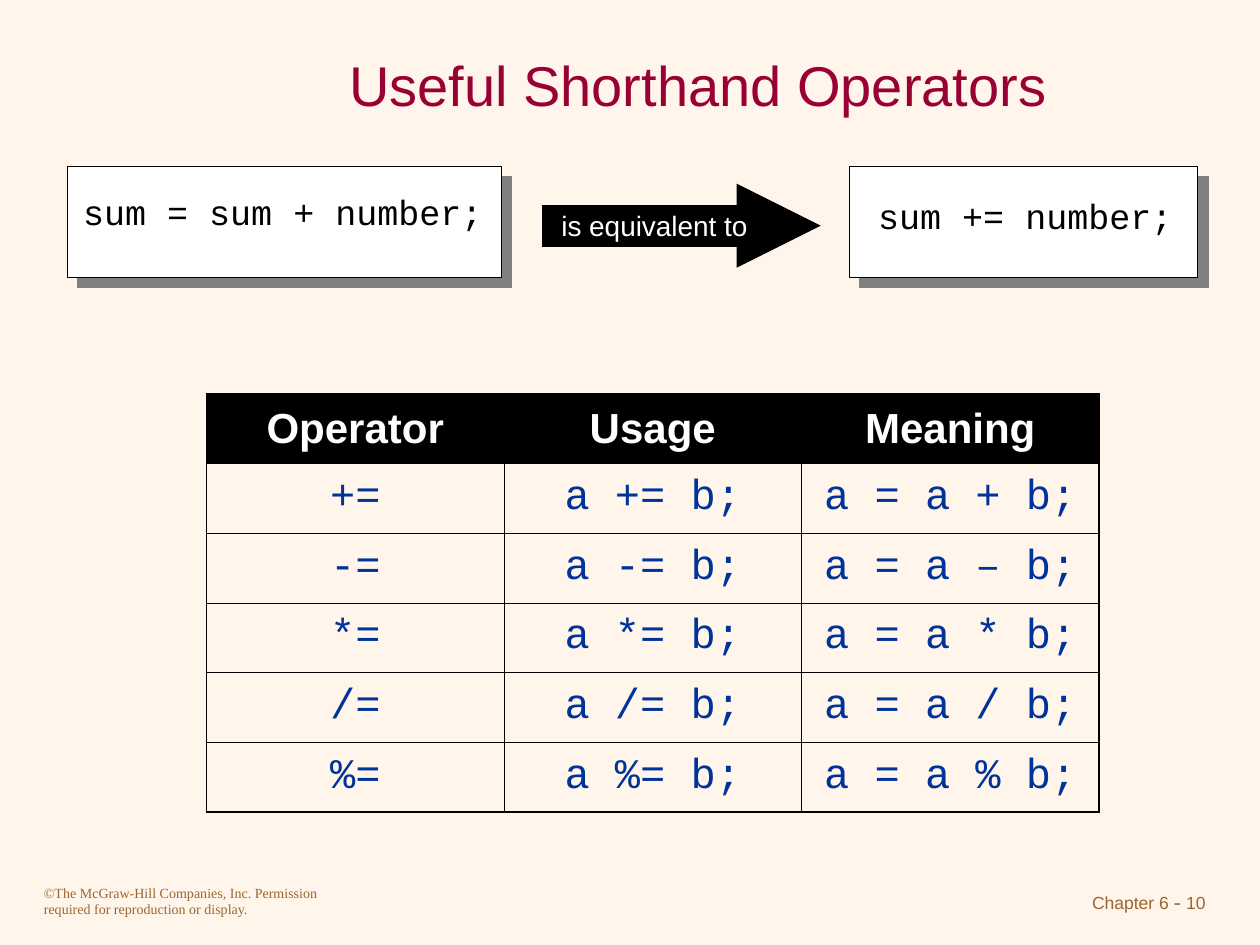
from lxml.etree import SubElement
from pptx import Presentation
from pptx.dml.color import RGBColor
from pptx.enum.shapes import MSO_CONNECTOR as Connector, MSO_SHAPE as Shape
from pptx.enum.text import MSO_ANCHOR as Anchor, PP_ALIGN as Align
from pptx.oxml.ns import qn
from pptx.util import Pt

CREAM = RGBColor(0xFF, 0xF5, 0xEB)
MAROON = RGBColor(0x99, 0x00, 0x33)
BROWN = RGBColor(0x99, 0x66, 0x33)
NAVY = RGBColor(0x00, 0x33, 0x99)
GRAY = RGBColor(0x80, 0x80, 0x80)
BLACK = RGBColor(0x00, 0x00, 0x00)
WHITE = RGBColor(0xFF, 0xFF, 0xFF)

SANS, SERIF, MONO = "Arial", "Times New Roman", "Courier New"
CODE_ADVANCE = 12  # width of one 20 pt monospaced character

OPERATORS = [
    ("Operator", "Usage", "Meaning"),
    ("+=", "a += b;", "a = a + b;"),
    ("-=", "a -= b;", "a = a – b;"),
    ("*=", "a *= b;", "a = a * b;"),
    ("/=", "a /= b;", "a = a / b;"),
    ("%=", "a %= b;", "a = a % b;"),
]


def write(frame, text, font=SANS, size=10, color=BLACK, bold=False,
          align=Align.LEFT, anchor=Anchor.TOP, line_spacing=None):
    """Append a formatted run to the first paragraph of a frame or cell."""
    frame.vertical_anchor = anchor
    text_frame = getattr(frame, "text_frame", frame)
    paragraph = text_frame.paragraphs[0]
    paragraph.alignment = align
    paragraph.line_spacing = line_spacing
    run = paragraph.add_run()
    run.text = text
    run.font.name = font
    run.font.size = Pt(size)
    run.font.bold = bold
    run.font.color.rgb = color


def add_text_frame(slide, left, top, width, height, wrap=False):
    box = slide.shapes.add_textbox(Pt(left), Pt(top), Pt(width), Pt(height))
    box.text_frame.word_wrap = wrap
    return box.text_frame


def add_solid_color(parent, color):
    fill = SubElement(parent, qn("a:solidFill"))
    SubElement(fill, qn("a:srgbClr"), val=str(color))


def add_title(slide, left, top, width, height):
    title = slide.shapes.title
    title.left, title.top = Pt(left), Pt(top)
    title.width, title.height = Pt(width), Pt(height)
    write(title.text_frame, "Useful Shorthand Operators", size=32,
          color=MAROON, align=Align.CENTER, anchor=Anchor.MIDDLE)


def add_code_card(slide, code, left, top, width, height, text_left, text_top):
    """Add a white card with an offset shadow; the code sits relative to it."""
    card = slide.shapes.add_shape(
        Shape.RECTANGLE, Pt(left), Pt(top), Pt(width), Pt(height))
    card.fill.solid()
    card.fill.fore_color.rgb = WHITE
    card.line.color.rgb = BLACK
    card.line.width = Pt(0.75)
    card.shadow.inherit = False
    effects = card._element.spPr.find(qn("a:effectLst"))
    shadow = SubElement(effects, qn("a:outerShdw"), blurRad="0",
                        dist=str(Pt(8.5)), dir="2700000", algn="ctr",
                        rotWithShape="0")
    SubElement(shadow, qn("a:srgbClr"), val=str(GRAY))
    text_width = CODE_ADVANCE * len(code) + 16.5
    frame = add_text_frame(slide, left + text_left, top + text_top,
                           text_width, 26.6)
    write(frame, code, font=MONO, size=20, line_spacing=0.8)


def add_equivalence_arrow(slide, left, middle, width):
    arrow = slide.shapes.add_connector(
        Connector.STRAIGHT, Pt(left), Pt(middle), Pt(left + width), Pt(middle))
    arrow.line.color.rgb = BLACK
    arrow.line.width = Pt(24)
    SubElement(arrow.line._get_or_add_ln(), qn("a:tailEnd"),
               type="triangle", w="sm", len="sm")
    SubElement(arrow._element.spPr, qn("a:effectLst"))
    frame = add_text_frame(slide, left + 3.7, middle - 13.5, 121.2, 26.6)
    write(frame, "is equivalent to", size=16, color=WHITE)


def set_borders(cell, widths):
    properties = cell._tc.get_or_add_tcPr()
    for side, width in widths.items():
        border = SubElement(properties, qn(f"a:ln{side}"), w=str(Pt(width)))
        add_solid_color(border, BLACK)


def add_operator_table(slide, left, top, width, height):
    row_count, column_count = len(OPERATORS), len(OPERATORS[0])
    table = slide.shapes.add_table(row_count, column_count, Pt(left), Pt(top),
                                   Pt(width), Pt(height)).table
    table.first_row = table.horz_banding = False
    outer, inner = 1.08, 0.45
    for row, texts in enumerate(OPERATORS):
        header = row == 0
        for column, text in enumerate(texts):
            cell = table.cell(row, column)
            set_borders(cell, {
                "L": outer if column == 0 else inner,
                "R": outer if column == column_count - 1 else inner,
                "T": outer if header else inner,
                "B": outer if row == row_count - 1 else inner,
            })
            if header:
                cell.fill.solid()
                cell.fill.fore_color.rgb = BLACK
            else:
                cell.fill.background()
            write(cell, text, font=SANS if header else MONO, size=24,
                  color=WHITE if header else NAVY, bold=header,
                  align=Align.CENTER, anchor=Anchor.MIDDLE)


def add_footer(slide, left, top, width, height):
    notice = add_text_frame(slide, left, top, 180, height, wrap=True)
    write(notice, "©The McGraw-Hill Companies, Inc. Permission required for "
          "reproduction or display.", font=SERIF, size=8, color=BROWN,
          anchor=Anchor.BOTTOM)
    number_width = 156
    number = add_text_frame(slide, left + width - number_width, top,
                            number_width, height, wrap=True)
    number.margin_bottom = Pt(6)
    for text, font, size in (("Chapter 6", SANS, 10), (" - ", SERIF, 12),
                             ("10", SANS, 10)):
        write(number, text, font=font, size=size, color=BROWN,
              align=Align.RIGHT, anchor=Anchor.BOTTOM)


def main():
    presentation = Presentation()
    presentation.slide_width, presentation.slide_height = Pt(720), Pt(540)
    slide = presentation.slides.add_slide(presentation.slide_layouts[5])
    slide.background.fill.solid()
    slide.background.fill.fore_color.rgb = CREAM

    add_footer(slide, 18, 492, 678, 36)
    add_title(slide, 108, 18, 582, 60)
    add_code_card(slide, "sum = sum + number;", 38.4, 95, 248, 63.5, 2, 15.2)
    add_code_card(slide, "sum += number;", 485.3, 95, 199, 63.5, 9.4, 17.3)
    add_equivalence_arrow(slide, 310, 129, 159)
    add_operator_table(slide, 118, 225, 510, 239)
    presentation.save("out.pptx")


if __name__ == "__main__":
    main()
